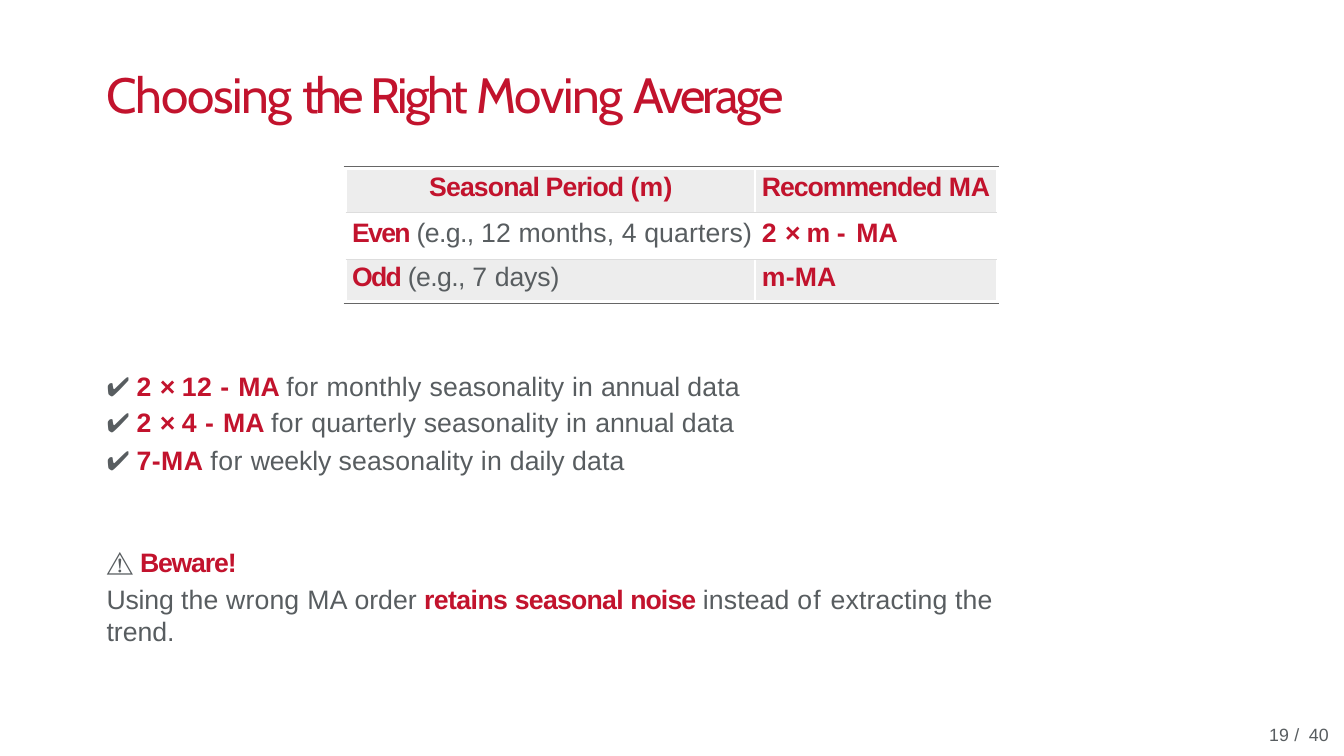
from lxml import etree
from pptx import Presentation
from pptx.dml.color import RGBColor
from pptx.enum.shapes import MSO_CONNECTOR as Connector
from pptx.oxml.ns import qn
from pptx.util import Cm, Pt

RED = RGBColor(0xC2, 0x13, 0x2D)
GREY = RGBColor(0x58, 0x5D, 0x60)
RULE = RGBColor(0x66, 0x66, 0x66)
BAND = RGBColor(0xED, 0xED, 0xED)
WHITE = RGBColor(0xFF, 0xFF, 0xFF)
DIVIDER = RGBColor(0xDD, 0xDD, 0xDD)


def write(paragraph, parts, size=18, font="Arial", bold=True, indent=0.03, before=0.0):
    """Fill a paragraph with (text, colour, letter spacing in points) parts; red parts may be bold."""
    paragraph.font.size = Pt(size)
    paragraph.space_before = Pt(before)
    paragraph._p.get_or_add_pPr().set("marL", str(Cm(indent)))
    for text, colour, spacing in parts:
        run = paragraph.add_run()
        run.text = text
        run.font.name = "Lato" if text[0] in "✔⚠" else font
        run.font.color.rgb = colour
        run.font.bold = bold and colour == RED
        run._r.get_or_add_rPr().set("spc", str(round(spacing * 100)))


def add_text_frame(left, top, width, height, inset_top=0.0):
    frame = slide.shapes.add_textbox(Cm(left), Cm(top), Cm(width), Cm(height)).text_frame
    frame.word_wrap = True
    frame.margin_left = frame.margin_right = frame.margin_bottom = 0
    frame.margin_top = Cm(inset_top)
    return frame


presentation = Presentation()
# The page is a whole number of points
presentation.slide_width = Pt(908)
presentation.slide_height = Pt(511)
slide = presentation.slides.add_slide(presentation.slide_layouts[6])

# Title
title = add_text_frame(2.51, 1.47, 16.71, 1.5, 0.05)
write(title.paragraphs[0],
      [("Choosing ", RED, -0.9), ("the ", RED, -2.6), ("Right ", RED, -1.8),
       ("Moving ", RED, -0.9), ("Average", RED, -1.9)],
      size=33.5, font="Cabin", bold=False, before=1.2)

# Rules above and below the table
for y in (3.98, 7.23):
    rule = slide.shapes.add_connector(Connector.STRAIGHT, Cm(8.19), Cm(y), Cm(23.81), Cm(y))
    rule.line.color.rgb = RULE
    rule.line.width = Pt(0.75)
    etree.SubElement(rule._element.spPr, qn("a:effectLst"))

# Table of recommended averages
table_rows = [
    [[("Seasonal Period ", RED, -0.6), ("(m)", RED, 0.1)],
     [("Recommended ", RED, -0.7), ("MA", RED, 0)]],
    [[("Even ", RED, -1.1), ("(e.g., ", GREY, -0.4), ("12 months, 4 quarters)", GREY, 0.1)],
     [("2 ", RED, 0.3), ("× ", RED, -1), ("m ", RED, -0.5), ("- ", RED, 1.1), ("MA", RED, 0)]],
    [[("Odd ", RED, -1.1), ("(e.g., ", GREY, -0.4), ("7 ", GREY, 0.1), ("days)", GREY, -0.1)],
     [("m-MA", RED, 0.1)]],
]
table = slide.shapes.add_table(3, 2, Cm(8.25), Cm(4.04), Cm(15.5), Cm(3.13)).table
table.first_row = table.horz_banding = False
for column, width in zip(table.columns, (9.75, 5.75)):
    column.width = Cm(width)
for row, height in zip(table.rows, (1.02, 1.12, 0.99)):
    row.height = Cm(height)

for row_index, row_parts in enumerate(table_rows):
    is_middle = row_index == 1
    for column_index, parts in enumerate(row_parts):
        cell = table.cell(row_index, column_index)
        cell.margin_left = cell.margin_right = cell.margin_bottom = 0
        cell.margin_top = Cm(0.14 if is_middle else 0.07)
        indent = 1.98 if row_index == column_index == 0 else (0.14, 0.16)[column_index]
        write(cell.text_frame.paragraphs[0], parts, indent=indent,
              before=4.1 if is_middle else 2.2)

        borders = [("a:lnR", WHITE, 1.5) if column_index == 0 else ("a:lnL", WHITE, 1.5)]
        if row_index > 0:
            borders.append(("a:lnT", DIVIDER, 0.75))
        if row_index < 2:
            borders.append(("a:lnB", DIVIDER, 0.75))
        properties = cell._tc.get_or_add_tcPr()
        for tag, colour, width in borders:
            border = etree.SubElement(properties, qn(tag), w=str(Pt(width)))
            fill = etree.SubElement(border, qn("a:solidFill"))
            etree.SubElement(fill, qn("a:srgbClr"), val=str(colour))
        if is_middle:
            cell.fill.background()
        else:
            cell.fill.solid()
            cell.fill.fore_color.rgb = BAND

# Examples and warning
check = ("✔ ", GREY, 0)
times, minus, average = ("× ", RED, -0.5), ("- ", RED, 0.6), ("MA ", RED, 0)
for_part, seasonality = ("for ", GREY, 0.3), ("seasonality in ", GREY, 0.1)
annual_data = [("annual ", GREY, -0.1), ("data", GREY, 0.1)]
body_paragraphs = [
    (4.2, [check, ("2 ", RED, 0.3), times, ("12 ", RED, 0.3), minus, average, for_part,
           ("monthly ", GREY, 0.2), seasonality, *annual_data]),
    (3.1, [check, ("2 ", RED, 0.3), times, ("4 ", RED, 0.3), minus, average, for_part,
           ("quarterly ", GREY, 0.1), seasonality, *annual_data]),
    (3.9, [check, ("7-MA ", RED, 0.3), for_part, ("weekly ", GREY, -0.1), seasonality,
           ("daily ", GREY, 0), ("data", GREY, 0.1)]),
    (47.5, [("⚠ ", GREY, 0), ("Beware!", RED, -0.8)]),
    (3.5, [("Using ", GREY, -0.1), ("the wrong ", GREY, 0.1), ("MA ", GREY, 0.3),
           ("order ", GREY, 0), ("retains ", RED, -0.4), ("seasonal ", RED, -0.5),
           ("noise ", RED, -0.6), ("instead ", GREY, 0.1), ("of ", GREY, 0.8),
           ("extracting the ", GREY, 0.1), ("trend.", GREY, 0)]),
]
body = add_text_frame(2.51, 8.66, 22.76, 6.02, 0.15)
for index, (before, parts) in enumerate(body_paragraphs):
    paragraph = body.add_paragraph() if index else body.paragraphs[0]
    write(paragraph, parts, before=before)

# Page number
page_number = add_text_frame(30.15, 17.27, 1.75, 0.56)
write(page_number.paragraphs[0], [("19 ", GREY, 0.1), ("/ ", GREY, 1.6), ("40", GREY, 0.1)],
      size=12, indent=0.1, before=0.1)

presentation.save("out.pptx")
